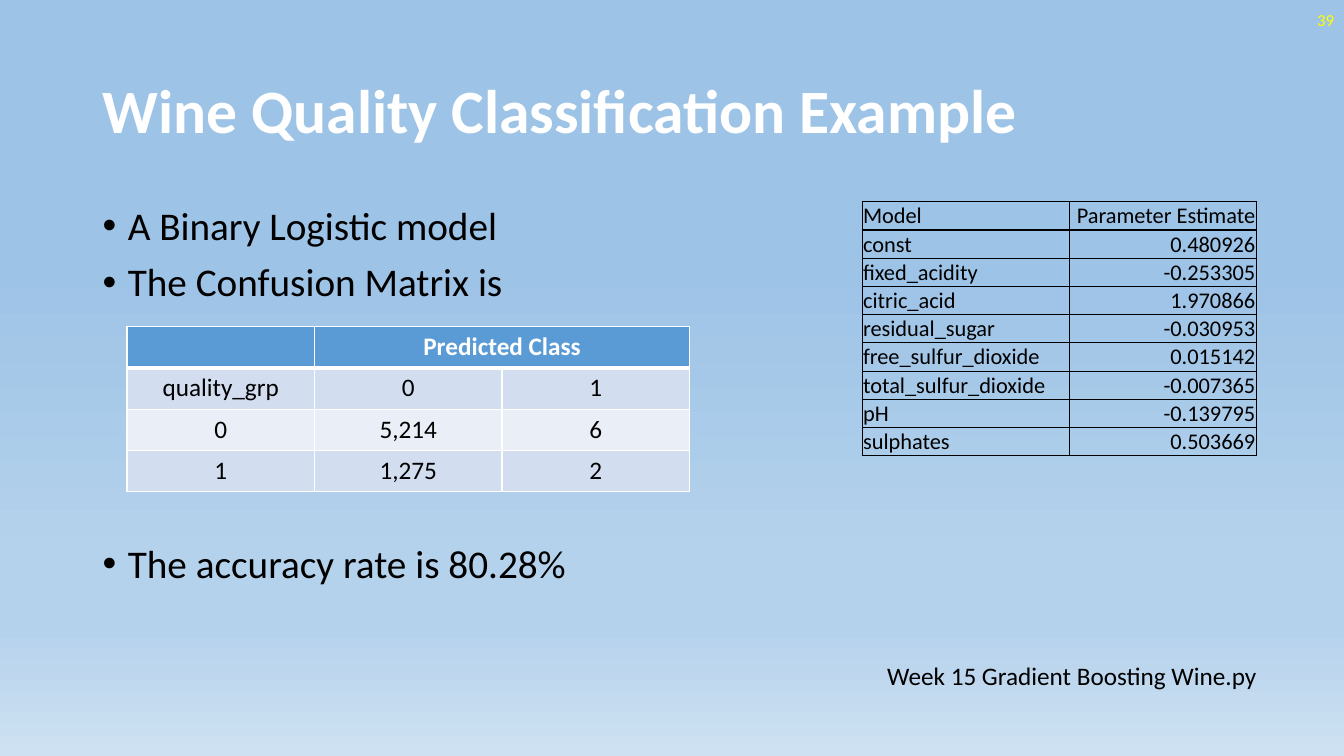
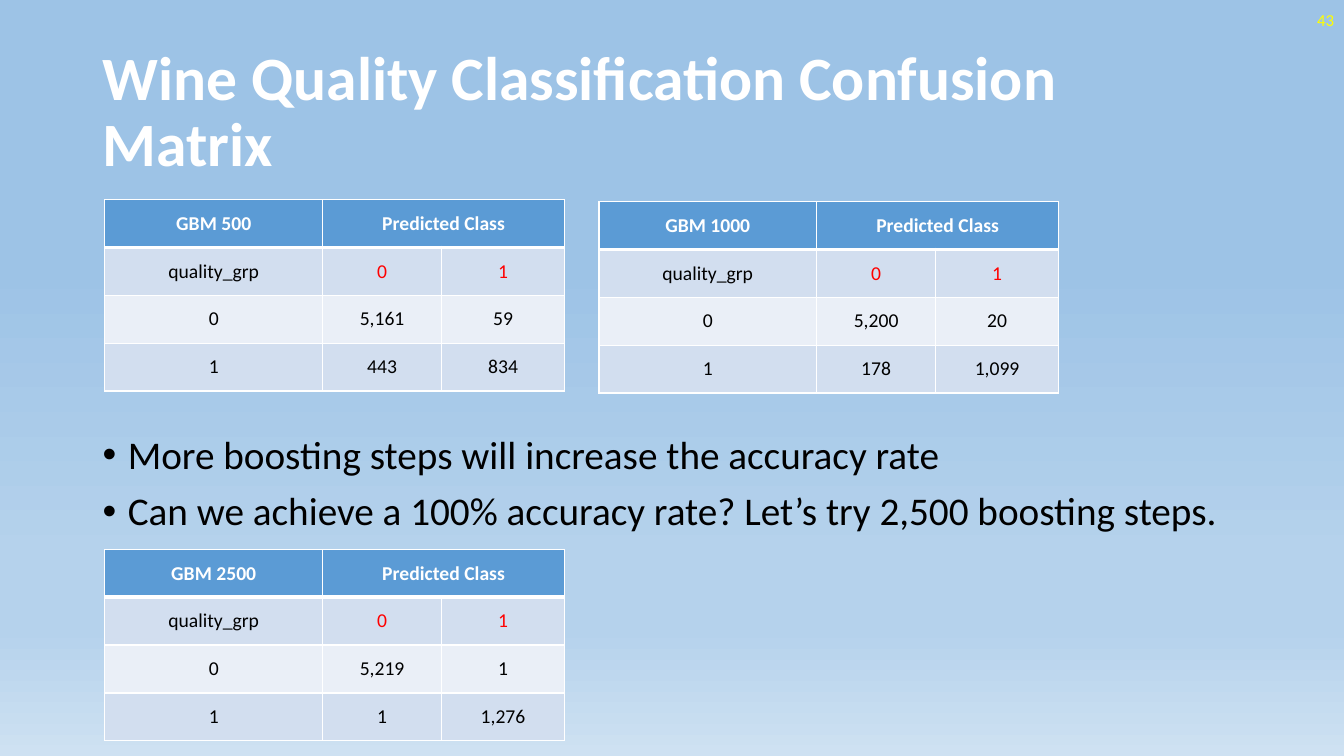
"""Build two slides on wine quality classification: logistic and boosting results."""
from lxml.etree import SubElement
from pptx import Presentation
from pptx.dml.color import RGBColor
from pptx.enum.text import MSO_ANCHOR, PP_ALIGN
from pptx.oxml import parse_xml
from pptx.oxml.ns import nsdecls, qn
from pptx.util import Inches, Pt

FONT = "Calibri"
WHITE = RGBColor(0xFF, 0xFF, 0xFF)
BLACK = RGBColor(0x00, 0x00, 0x00)
RED = RGBColor(0xFF, 0x00, 0x00)
YELLOW = RGBColor(0xFF, 0xFF, 0x00)
HEADER = RGBColor(0x5B, 0x9B, 0xD5)
BAND_DARK = RGBColor(0xD2, 0xDE, 0xEF)
BAND_LIGHT = RGBColor(0xEA, 0xEF, 0xF7)
SKY = RGBColor(0x9D, 0xC3, 0xE6)
MIST = RGBColor(0xB5, 0xD2, 0xEC)
HAZE = RGBColor(0xCE, 0xE1, 0xF2)
ROW_FILLS = [HEADER, BAND_DARK, BAND_LIGHT, BAND_DARK]


def add_text(s, box, lines, size, color, bold=False, align=PP_ALIGN.LEFT,
             anchor=MSO_ANCHOR.TOP, spacing=1.0, bullet=False, wrap=True):
    """Add a text box; each line is a pair of text and space before in points."""
    tf = s.shapes.add_textbox(*[Inches(v) for v in box]).text_frame
    tf.word_wrap = wrap
    tf.vertical_anchor = anchor
    for i, (text, before) in enumerate(lines):
        p = tf.paragraphs[0] if i == 0 else tf.add_paragraph()
        p.alignment = align
        p.line_spacing = spacing
        p.space_before = Pt(before)
        if bullet:
            pPr = p._p.get_or_add_pPr()
            pPr.set("marL", str(Inches(0.25)))
            pPr.set("indent", str(-Inches(0.25)))
            SubElement(pPr, qn("a:buFont"), typeface="Arial")
            SubElement(pPr, qn("a:buChar"), char="•")
        r = p.add_run()
        r.text = text
        r.font.name, r.font.size, r.font.bold = FONT, Pt(size), bold
        r.font.color.rgb = color


def fill_cell(cell, text, size, color, align, anchor, line, widths, bold=False):
    """Write a cell's text and draw its borders, widths given as left, right, top, bottom."""
    cell.vertical_anchor = anchor
    p = cell.text_frame.paragraphs[0]
    p.alignment = align
    if text:
        r = p.add_run()
        r.text = text
        r.font.name, r.font.size, r.font.bold = FONT, Pt(size), bold
        r.font.color.rgb = color
    tcPr = cell._tc.get_or_add_tcPr()
    for side, width in zip("LRTB", widths):
        tcPr.append(parse_xml(
            f'<a:ln{side} {nsdecls("a")} w="{Pt(width)}"><a:solidFill>'
            f'<a:srgbClr val="{line}"/></a:solidFill></a:ln{side}>'))


prs = Presentation()
prs.slide_width, prs.slide_height = Inches(13.33), Inches(7.5)

fill = prs.slide_master.background.fill
fill.gradient()
grad = fill._fill._gradFill
stops = grad.find(qn("a:gsLst"))
for stop in list(stops):
    stops.remove(stop)
for percent, color in [(35, SKY), (74, MIST), (83, MIST), (100, HAZE)]:
    stop = SubElement(stops, qn("a:gs"), pos=str(percent * 1000))
    SubElement(stop, qn("a:srgbClr"), val=str(color))
grad.find(qn("a:lin")).set("ang", str(90 * 60000))

SLIDES = [
    ("Wine Quality Classification Example", "39", 2,
     [("A Binary Logistic model", 10), ("The Confusion Matrix is", 10),
      ("The accuracy rate is 80.28%", 171)]),
    ("Wine Quality Classification Confusion Matrix", "43", 4.27,
     [("More boosting steps will increase the accuracy rate", 10),
      ("Can we achieve a 100% accuracy rate? Let’s try 2,500 boosting steps.", 10)]),
]
for title, number, top, bullets in SLIDES:
    s = prs.slides.add_slide(prs.slide_layouts[6])
    add_text(s, (0.92, 0.4, 11.5, 1.45), [(title, 0)], 44, WHITE, bold=True,
             anchor=MSO_ANCHOR.MIDDLE, spacing=0.9)
    add_text(s, (0.92, top, 11.5, 6.76 - top), bullets, 28, BLACK,
             spacing=0.9, bullet=True)
    add_text(s, (10.33, 0, 3, 0.4), [(number, 0)], 12, YELLOW,
             align=PP_ALIGN.RIGHT, anchor=MSO_ANCHOR.MIDDLE)
example, boosting = prs.slides

add_text(example, (8.7, 6.5, 3.91, 0.4), [("Week 15 Gradient Boosting Wine.py", 0)],
         18, BLACK, wrap=False)

ESTIMATES = [
    ("Model", "Parameter Estimate"),
    ("const", "0.480926"),
    ("fixed_acidity", "-0.253305"),
    ("citric_acid", "1.970866"),
    ("residual_sugar", "-0.030953"),
    ("free_sulfur_dioxide", "0.015142"),
    ("total_sulfur_dioxide", "-0.007365"),
    ("pH", "-0.139795"),
    ("sulphates", "0.503669"),
]
table = example.shapes.add_table(len(ESTIMATES), 2, Inches(8.55), Inches(2), Inches(3.91),
                                 Inches(0.28 * len(ESTIMATES))).table
table.first_row = table.horz_banding = False
table.columns[0].width, table.columns[1].width = Inches(2.06), Inches(1.85)
for i, row in enumerate(ESTIMATES):
    table.rows[i].height = Inches(0.28)
    widths = (0.5, 0.5, 2 if i == 1 else 0.5, 2 if i == 0 else 0.5)
    for j, text in enumerate(row):
        cell = table.cell(i, j)
        cell.margin_left = cell.margin_right = cell.margin_top = Inches(0.01)
        cell.margin_bottom = 0
        fill_cell(cell, text, 16, BLACK, PP_ALIGN.RIGHT if j else PP_ALIGN.LEFT,
                  MSO_ANCHOR.BOTTOM, BLACK, widths)
        cell.fill.background()

LOGISTIC = (18, BLACK, MSO_ANCHOR.TOP, (1.86, 1.86, 1.86), 0.41)
GBM = (14, RED, MSO_ANCHOR.MIDDLE, (2.16, 1.18, 1.22), 0.475)
MATRICES = [
    (example, 1.26, 3.24, LOGISTIC, "", ("5,214", "6"), ("1,275", "2")),
    (boosting, 1.04, 1.98, GBM, "GBM 500", ("5,161", "59"), ("443", "834")),
    (boosting, 5.94, 2, GBM, "GBM 1000", ("5,200", "20"), ("178", "1,099")),
    (boosting, 1.04, 5.45, GBM, "GBM 2500", ("5,219", "1"), ("1", "1,276")),
]
for s, left, top, style, name, actual_0, actual_1 in MATRICES:
    size, class_color, anchor, col_widths, row_height = style
    rows = [(name, "Predicted Class", ""), ("quality_grp", "0", "1"),
            ("0", *actual_0), ("1", *actual_1)]
    table = s.shapes.add_table(4, 3, Inches(left), Inches(top), Inches(sum(col_widths)),
                               Inches(4 * row_height)).table
    table.first_row = table.horz_banding = False
    for col, width in zip(table.columns, col_widths):
        col.width = Inches(width)
    for i, row in enumerate(rows):
        table.rows[i].height = Inches(row_height)
        widths = (1, 1, 3 if i == 1 else 1, 3 if i == 0 else 1)
        for j, text in enumerate(row):
            color = WHITE if i == 0 else class_color if i == 1 and j else BLACK
            cell = table.cell(i, j)
            fill_cell(cell, text, size, color, PP_ALIGN.CENTER, anchor, WHITE, widths,
                      bold=i == 0)
            cell.fill.solid()
            cell.fill.fore_color.rgb = ROW_FILLS[i]
    table.cell(0, 1).merge(table.cell(0, 2))

prs.save("out.pptx")
